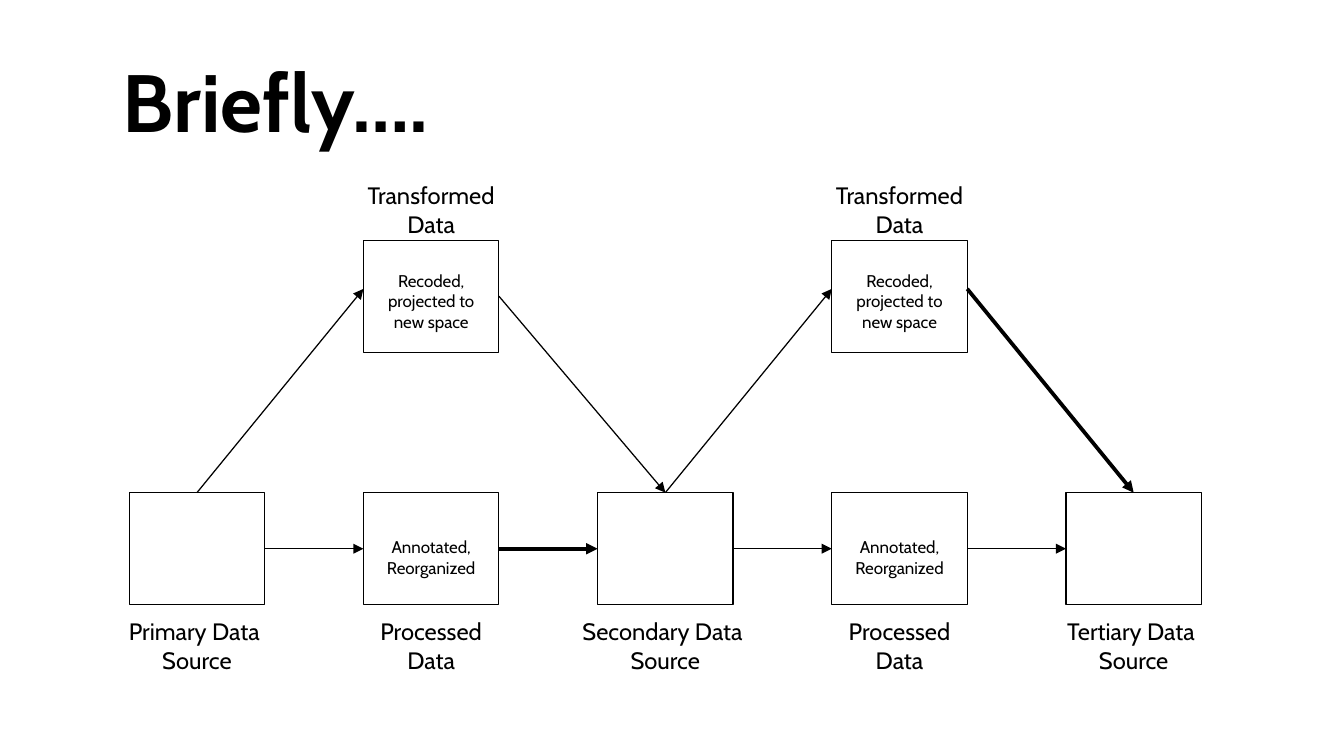
from pptx import Presentation
from pptx.dml.color import RGBColor
from pptx.enum.shapes import MSO_CONNECTOR as CONN, MSO_SHAPE as SHAPE
from pptx.enum.text import MSO_ANCHOR as ANCHOR, PP_ALIGN as ALIGN
from pptx.oxml.ns import qn
from pptx.util import Pt
from lxml.etree import SubElement

FONT = "Cabin"
BLACK = "000000"
NODE_W, NODE_H = 80, 66.2
LABEL_W = 102.2


def color(value):
    return RGBColor.from_string(value)


def add_text(s, box, lines, size, align=ALIGN.CENTER, bold=False):
    tf = s.shapes.add_textbox(*map(Pt, box)).text_frame
    tf.word_wrap = True
    tf.vertical_anchor = ANCHOR.TOP
    tf.margin_left = tf.margin_right = tf.margin_top = tf.margin_bottom = Pt(7.2)
    for i, line in enumerate(lines):
        p = tf.paragraphs[0] if i == 0 else tf.add_paragraph()
        p.alignment = align
        r = p.add_run()
        r.text = line
        r.font.name = FONT
        r.font.size = Pt(size)
        r.font.bold = bold
        r.font.color.rgb = color(BLACK)


def add_node(s, x, y):
    sp = s.shapes.add_shape(SHAPE.RECTANGLE, Pt(x), Pt(y), Pt(NODE_W), Pt(NODE_H))
    sp.shadow.inherit = False
    sp.fill.background()
    sp.line.color.rgb = color(BLACK)
    sp.line.width = Pt(0.75)


def add_arrow(s, start, end, width=0.75):
    cx = s.shapes.add_connector(CONN.STRAIGHT, *map(Pt, (*start, *end)))
    cx.line.color.rgb = color(BLACK)
    cx.line.width = Pt(width)
    SubElement(cx.line._get_or_add_ln(), qn("a:tailEnd"), type="triangle")
    SubElement(cx._element.spPr, qn("a:effectLst"))


def draw_title(s, box):
    add_text(s, box, ["Briefly…."], 48, ALIGN.LEFT, True)


def draw_flow(s, box):
    x, y, w, h = box
    base = y + h - NODE_H
    cols = [x + i * (w - NODE_W) / 4 for i in range(5)]
    bottom_labels = [
        (["Primary Data ", "Source"], LABEL_W),
        (["Processed", "Data"], LABEL_W),
        (["Secondary Data ", "Source"], 116),
        (["Processed", "Data"], LABEL_W),
        (["Tertiary Data ", "Source"], LABEL_W),
    ]
    for left, (lines, width) in zip(cols, bottom_labels):
        add_node(s, left, base)
        add_text(s, (left + (NODE_W - width) / 2, y + h, width, 54), lines, 14)

    for left, width in zip(cols, (0.75, 2.25, 0.75, 0.75)):
        mid = base + NODE_H / 2
        add_arrow(s, (left + NODE_W, mid), (left + (w - NODE_W) / 4, mid), width)

    for i, exit_y, exit_width in ((1, 33.1, 0.75), (3, 28.8, 2.25)):
        left = cols[i]
        add_node(s, left, y)
        add_text(s, (left + (NODE_W - LABEL_W) / 2, y - 42, LABEL_W, 42),
                 ["Transformed", "Data"], 14)
        add_text(s, (left, y + 10.8, NODE_W, 27.4),
                 ["Recoded,", "projected to new space"], 10)
        add_text(s, (left, base + 19, NODE_W, 27.4),
                 ["Annotated,", "Reorganized"], 10)
        add_arrow(s, (cols[i - 1] + NODE_W / 2, base), (left, y + 28.8))
        add_arrow(s, (left + NODE_W, y + exit_y),
                  (cols[i + 1] + NODE_W / 2, base), exit_width)


prs = Presentation()
prs.slide_width, prs.slide_height = Pt(793.44), Pt(446.4)
s = prs.slides.add_slide(prs.slide_layouts[6])
s.background.fill.solid()
s.background.fill.fore_color.rgb = color("FFFFFF")
draw_title(s, (65.5, 23, 460, 36.7))
draw_flow(s, (76.3, 141.8, 633, 215.3))
prs.save("out.pptx")
